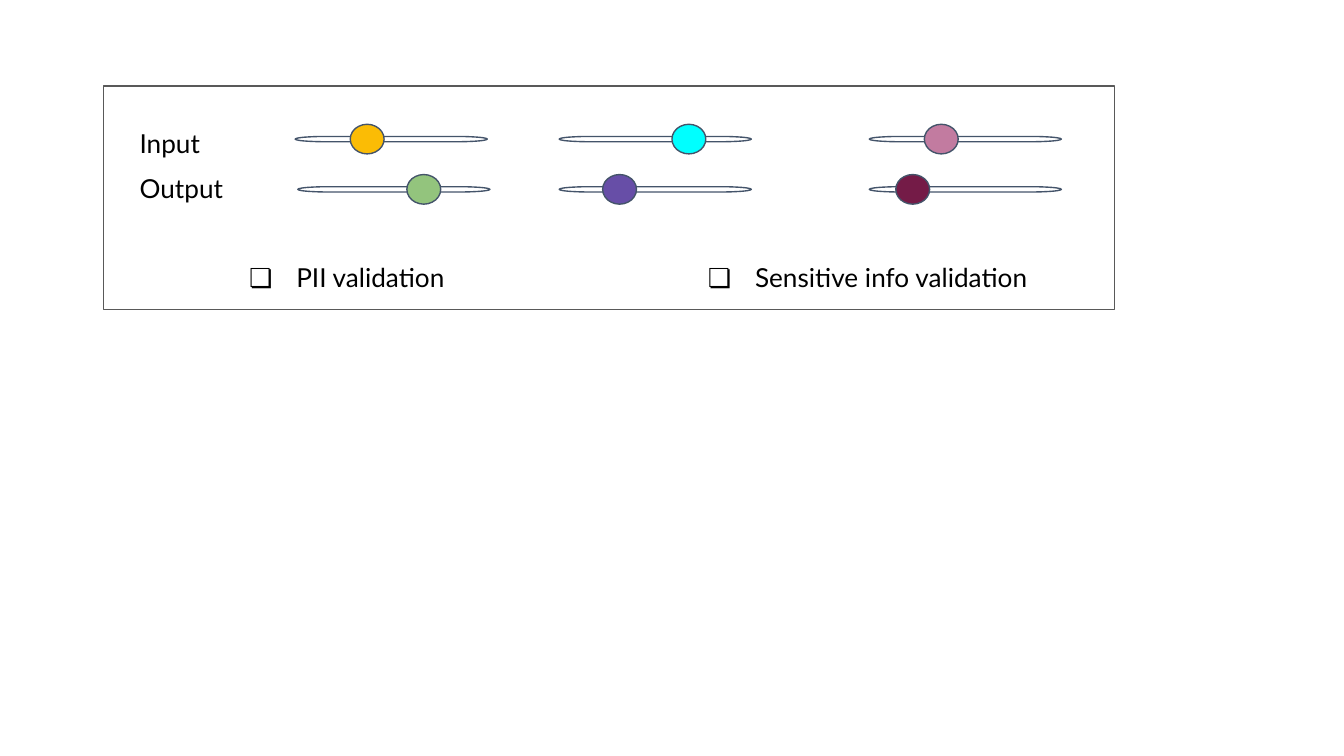
from lxml import etree
from pptx import Presentation
from pptx.dml.color import RGBColor
from pptx.enum.shapes import MSO_SHAPE
from pptx.enum.text import MSO_AUTO_SIZE
from pptx.oxml.ns import qn
from pptx.util import Cm, Pt

RECTANGLE = MSO_SHAPE.RECTANGLE
TERMINATOR = MSO_SHAPE.FLOWCHART_TERMINATOR
OVAL = MSO_SHAPE.OVAL
FIT_SHAPE = MSO_AUTO_SIZE.SHAPE_TO_FIT_TEXT

WHITE = RGBColor(0xFF, 0xFF, 0xFF)
BLACK = RGBColor(0x00, 0x00, 0x00)
GREY = RGBColor(0x59, 0x59, 0x59)
SLATE = RGBColor(0x44, 0x54, 0x6A)
AMBER = RGBColor(0xFB, 0xBC, 0x05)
CYAN = RGBColor(0x00, 0xFF, 0xFF)
PINK = RGBColor(0xC2, 0x7B, 0xA0)
GREEN = RGBColor(0x93, 0xC4, 0x7D)
PURPLE = RGBColor(0x67, 0x4E, 0xA7)
MAROON = RGBColor(0x74, 0x1B, 0x47)

TRACK_WIDTH, TRACK_HEIGHT = 3.63, 0.1
KNOB_WIDTH, KNOB_HEIGHT = 0.64, 0.56

# Label, label top, slider centre, then track left, knob offset, knob colour
SLIDER_ROWS = [
    ("Input", 2.16, 2.63,
     [(5.58, 1.04, AMBER), (10.57, 2.13, CYAN), (16.43, 1.04, PINK)]),
    ("Output", 3.01, 3.58,
     [(5.63, 2.06, GREEN), (10.57, 0.82, PURPLE), (16.43, 0.5, MAROON)]),
]
CHECKS = [("Sensitive info validation", 12.75), ("PII validation", 4.08)]


class ControlPanel:
    """Holds the style and the current slide; all lengths are in centimetres."""

    font = "Lato"
    size = Pt(14)
    line_width = Pt(0.75)
    margin = Cm(0.25)

    def __init__(self, slide):
        self.slide = slide

    def shape(self, kind, left, top, width, height, fill=WHITE, line=SLATE):
        shape = self.slide.shapes.add_shape(
            kind, Cm(left), Cm(top), Cm(width), Cm(height))
        shape.shadow.inherit = False
        shape.fill.solid()
        shape.fill.fore_color.rgb = fill
        shape.line.color.rgb = line
        shape.line.width = self.line_width

    def slider(self, left, centre, knob_offset, colour):
        self.shape(TERMINATOR, left, centre - TRACK_HEIGHT / 2,
                   TRACK_WIDTH, TRACK_HEIGHT)
        self.shape(OVAL, left + knob_offset, centre - KNOB_HEIGHT / 2,
                   KNOB_WIDTH, KNOB_HEIGHT, fill=colour)

    def text(self, words, left, top, width, height=1.12, color=BLACK, bullet=None):
        box = self.slide.shapes.add_textbox(
            Cm(left), Cm(top), Cm(width), Cm(height))
        frame = box.text_frame
        frame.word_wrap = True
        frame.auto_size = FIT_SHAPE
        frame.margin_left = frame.margin_right = self.margin
        frame.margin_top = frame.margin_bottom = self.margin
        paragraph = frame.paragraphs[0]
        if bullet:
            self.add_bullet(paragraph, bullet, color)
        run = paragraph.add_run()
        run.text = words
        run.font.name = self.font
        run.font.size = self.size
        run.font.color.rgb = color

    def add_bullet(self, paragraph, symbol, color):
        properties = paragraph._p.get_or_add_pPr()
        properties.set("marL", str(Cm(1.27)))
        properties.set("indent", str(Cm(-0.89)))
        bullet_color = etree.SubElement(properties, qn("a:buClr"))
        etree.SubElement(bullet_color, qn("a:srgbClr"), val=str(color))
        etree.SubElement(properties, qn("a:buFont"), typeface=self.font)
        etree.SubElement(properties, qn("a:buChar"), char=symbol)


def main():
    deck = Presentation()
    deck.slide_width, deck.slide_height = Cm(25.4), Cm(14.29)
    panel = ControlPanel(deck.slides.add_slide(deck.slide_layouts[6]))

    panel.shape(RECTANGLE, 1.96, 1.63, 19.1, 4.22, line=GREY)
    for label, label_top, centre, sliders in SLIDER_ROWS:
        for left, knob_offset, colour in sliders:
            panel.slider(left, centre, knob_offset, colour)
        panel.text(label, 2.39, label_top, 2.7)
    for check, left in CHECKS:
        panel.text(check, left, 4.7, 8, bullet="❏")

    deck.save("out.pptx")


if __name__ == "__main__":
    main()
